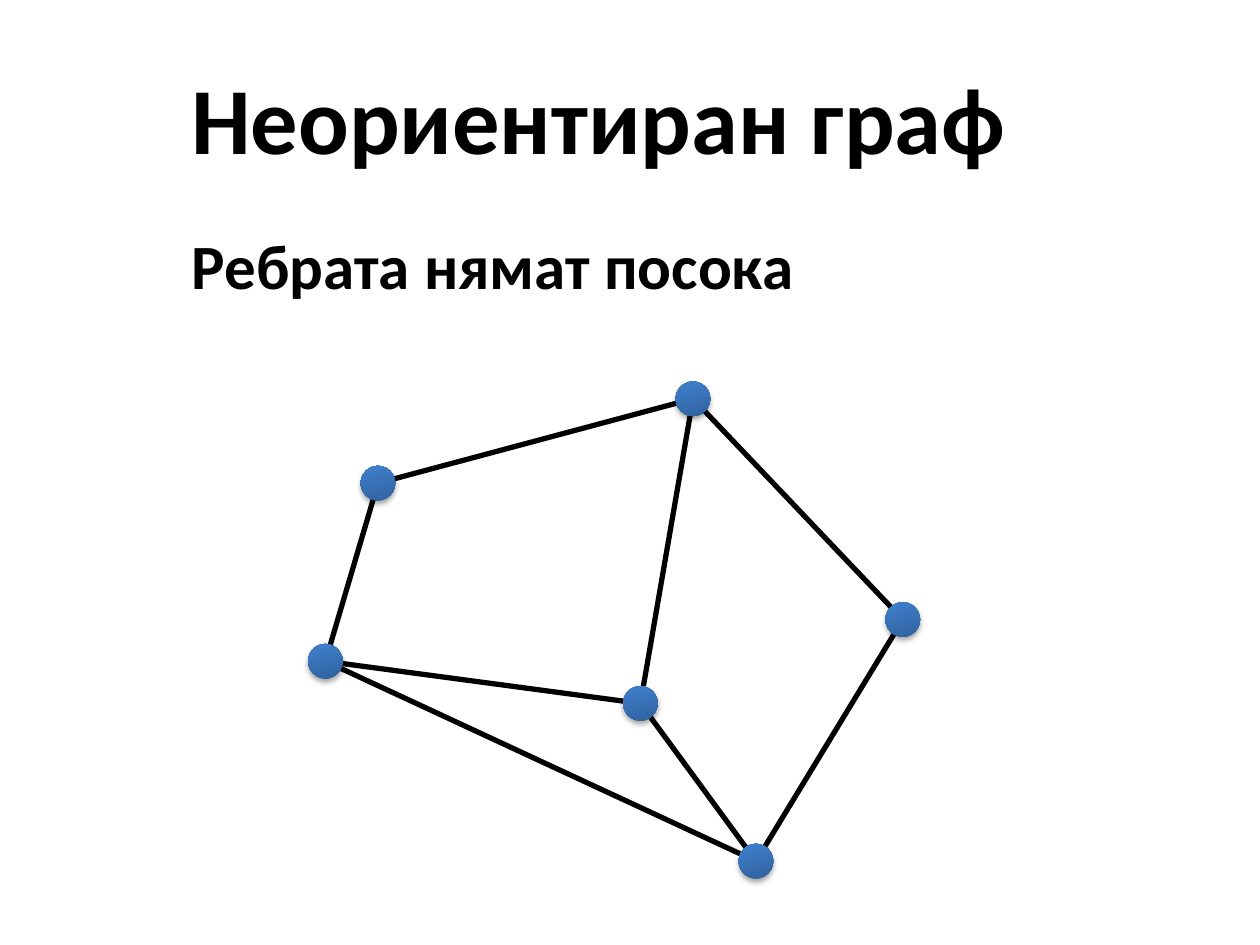
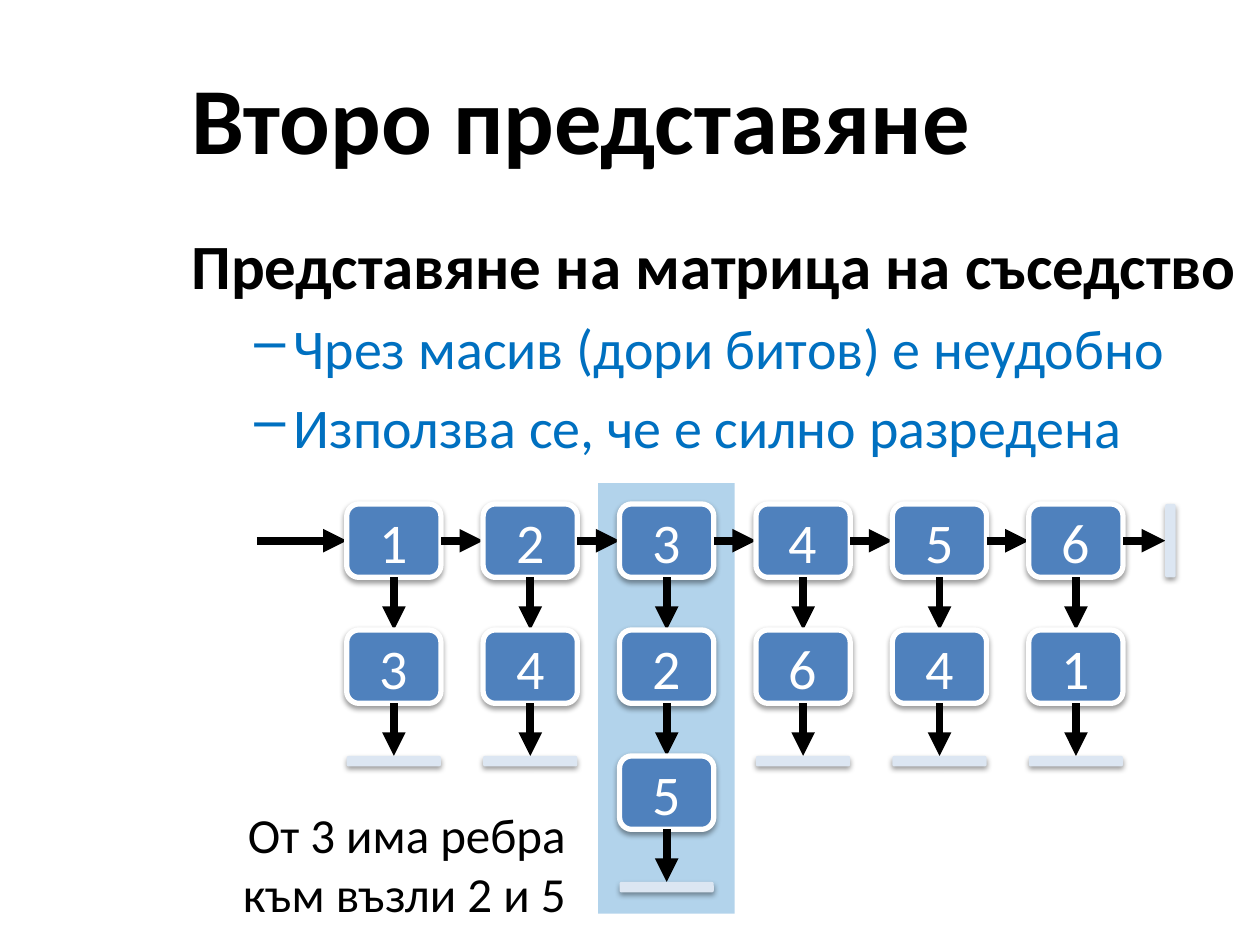
from lxml.etree import SubElement as Sub
from pptx import Presentation
from pptx.dml.color import RGBColor
from pptx.enum.shapes import MSO_CONNECTOR as Link, MSO_SHAPE as Kind
from pptx.enum.text import MSO_ANCHOR as Anchor, PP_ALIGN as Align
from pptx.oxml.ns import qn
from pptx.util import Cm, Pt

FONT = "Calibri"
BLACK, WHITE, BLUE = "000000", "FFFFFF", "0070C0"
BOX, BAR = "4F81BD", "DCE6F2"
DARK, LIGHT = "2F5F99", "3D7CC7"
LEFT, WIDE = 3.61, 21.79

DOT = 0.7
NODES = {"a": (7.62, 9.74), "b": (13.97, 8.04), "c": (18.2, 12.49),
         "d": (12.91, 14.18), "e": (15.24, 17.36), "f": (6.56, 13.33)}
EDGES = "fa fd fe ab bd bc ce de".split()

LISTS = ["13", "24", "325", "46", "54", "61"]
COL, ROW = 6.99, 10.16
STEP, DROP = 2.75, 2.54
BOX_W, BOX_H, THIN = 1.9, 1.48, 0.21


def paint(color, code):
    """Set a colour format from a hex string."""
    color.rgb = RGBColor.from_string(code)


def style(para, size, code, bold=False):
    """Format every run of a paragraph."""
    for run in para.runs:
        font = run.font
        font.name, font.size, font.bold = FONT, Pt(size), bold
        paint(font.color, code)


def add_text(slide, at, lines, size, code=BLACK, bold=False, anchor=Anchor.TOP):
    """Add a wrapping text box and return its frame."""
    frame = slide.shapes.add_textbox(*map(Cm, at)).text_frame
    frame.word_wrap = True
    frame.vertical_anchor = anchor
    frame.text = lines
    for para in frame.paragraphs:
        style(para, size, code, bold)
    return frame


def add_head(slide, title, lead):
    """Add the title and the bold lead line, and return the body frame."""
    add_text(slide, (LEFT, 0.76, WIDE, 3.18), title, 54, bold=True, anchor=Anchor.MIDDLE)
    return add_text(slide, (LEFT, 4.45, WIDE, 14.17), lead, 36, bold=True)


def add_point(frame, text):
    """Add a dashed second-level point to a text frame."""
    para = frame.add_paragraph()
    para.text = text
    props = para._p.get_or_add_pPr()
    props.set("marL", str(Cm(2.06)))
    props.set("indent", str(-Cm(0.79)))
    Sub(props, qn("a:buChar"), char="–")
    para.space_before = Pt(6.4)
    style(para, 32, BLUE)


def add_shape(slide, kind, at, code):
    """Add a flat filled shape without an outline."""
    shape = slide.shapes.add_shape(kind, *map(Cm, at))
    shape.shadow.inherit = False
    shape.fill.solid()
    paint(shape.fill.fore_color, code)
    shape.line.fill.background()
    return shape


def add_shade(shape, alpha, dist):
    """Give a shape a soft shadow below it."""
    effects = shape._element.spPr.find(qn("a:effectLst"))
    shade = Sub(effects, qn("a:outerShdw"), blurRad=str(Pt(3.1)), dist=str(Pt(dist)),
                dir="5400000", rotWithShape="0")
    color = Sub(shade, qn("a:srgbClr"), val=BLACK)
    Sub(color, qn("a:alpha"), val=str(alpha * 1000))


def add_line(slide, start, end, width, arrow=False):
    """Draw a black line, with an arrowhead at its end if asked."""
    line = slide.shapes.add_connector(Link.STRAIGHT, *map(Cm, (*start, *end)))
    line.line.width = Pt(width)
    paint(line.line.color, BLACK)
    if arrow:
        Sub(line.line._get_or_add_ln(), qn("a:tailEnd"), type="triangle")
    Sub(line._element.spPr, qn("a:effectLst"))


def add_dot(slide, x, y):
    """Draw a graph node centred on a point."""
    dot = add_shape(slide, Kind.OVAL, (x - DOT / 2, y - DOT / 2, DOT, DOT), LIGHT)
    dot.rotation = 345
    dot.fill.gradient()
    dot.fill.gradient_angle = 90
    for stop, place, code in zip(dot.fill.gradient_stops, (0, 0.8), (DARK, LIGHT)):
        stop.position = place
        paint(stop.color, code)
    add_shade(dot, 35, 1.8)


def add_box(slide, x, y, label):
    """Draw a list cell with its number."""
    box = add_shape(slide, Kind.ROUNDED_RECTANGLE, (x, y, BOX_W, BOX_H), BOX)
    box.line.width = Pt(3)
    paint(box.line.color, WHITE)
    add_shade(box, 38, 1.6)
    frame = box.text_frame
    frame.text = label
    frame.vertical_anchor = Anchor.MIDDLE
    para = frame.paragraphs[0]
    para.alignment = Align.CENTER
    style(para, 32, WHITE)


def add_bar(slide, x, y, wide, high):
    """Draw the mark that ends a list."""
    bar = add_shape(slide, Kind.ROUNDED_RECTANGLE, (x, y, wide, high), BAR)
    add_shade(bar, 38, 1.6)


def add_lists(slide):
    """Draw the row of heads with the list under each one."""
    mid = ROW + BOX_H / 2
    add_line(slide, (5.18, mid), (COL, mid), 4.5, True)
    for i, cells in enumerate(LISTS):
        x = COL + i * STEP
        for j, label in enumerate(cells):
            y = ROW + j * DROP
            add_box(slide, x, y, label)
            hub = x + BOX_W / 2
            add_line(slide, (hub, y + BOX_H), (hub, y + DROP), 4.5, True)
        add_bar(slide, x, ROW + len(cells) * DROP, BOX_W, THIN)
        add_line(slide, (x + BOX_W, mid), (x + STEP, mid), 4.5, True)
    add_bar(slide, COL + len(LISTS) * STEP, ROW, THIN, BOX_H)


def draw_graph(slide):
    """Build the slide on undirected graphs."""
    add_head(slide, "Неориентиран граф", "Ребрата нямат посока")
    for start, end in EDGES:
        add_line(slide, NODES[start], NODES[end], 3)
    for x, y in NODES.values():
        add_dot(slide, x, y)


def draw_table(slide):
    """Build the slide on neighbour lists."""
    band = add_shape(slide, Kind.RECTANGLE, (12.06, 9.74, STEP, 8.68), BLUE)
    color = band._element.spPr.find(".//" + qn("a:srgbClr"))
    Sub(color, qn("a:alpha"), val="30000")
    body = add_head(slide, "Второ представяне", "Представяне на матрица на съседство")
    add_point(body, "Чрез масив (дори битов) е неудобно")
    add_point(body, "Използва се, че е силно разредена")
    add_lists(slide)
    note = add_text(slide, (4.45, 16.09, 7.2, 2.96), "От 3 има ребра към възли 2 и 5", 28)
    note.paragraphs[0].alignment = Align.RIGHT


def main():
    """Build and save the slides."""
    deck = Presentation()
    deck.slide_width, deck.slide_height = Cm(25.4), Cm(19.05)
    for draw in (draw_graph, draw_table):
        draw(deck.slides.add_slide(deck.slide_layouts[6]))
    deck.save("out.pptx")


if __name__ == "__main__":
    main()
